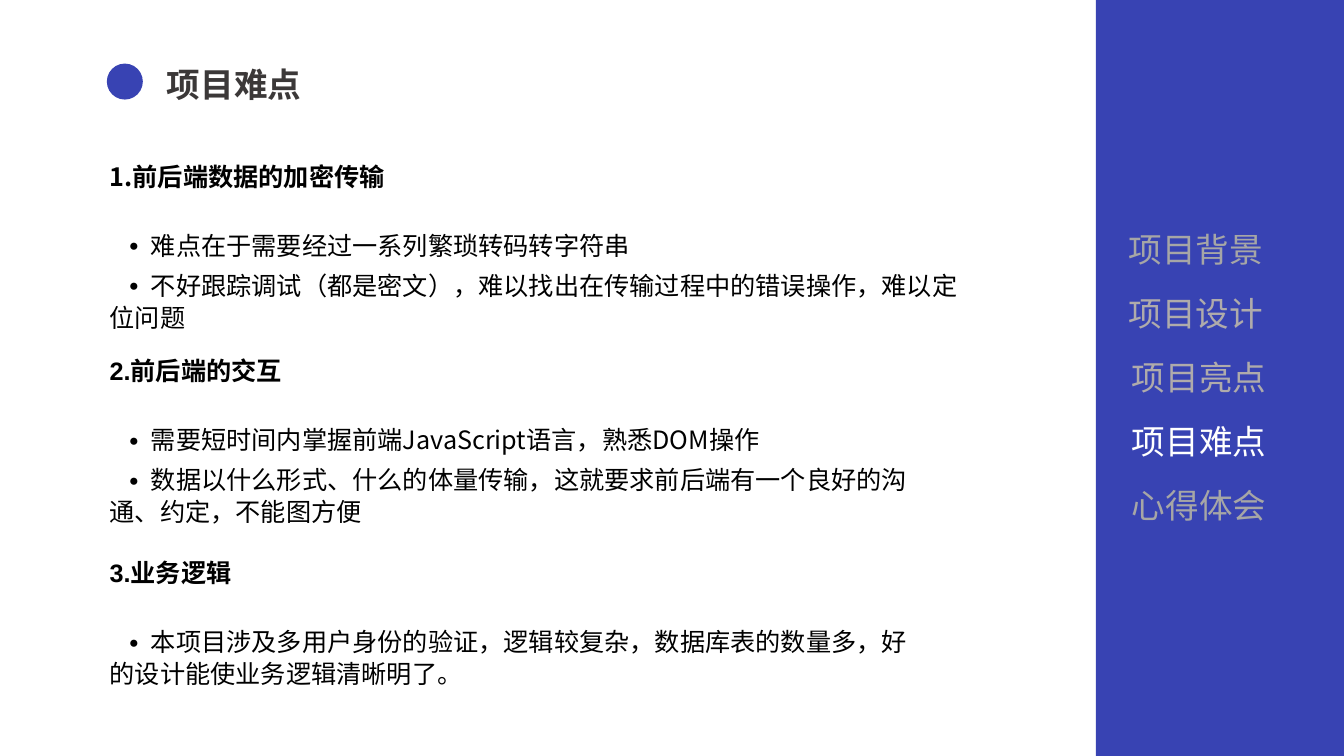
from dataclasses import dataclass

from lxml.etree import SubElement
from pptx import Presentation
from pptx.dml.color import RGBColor
from pptx.enum.shapes import MSO_SHAPE
from pptx.enum.text import MSO_ANCHOR, MSO_AUTO_SIZE, PP_ALIGN
from pptx.oxml.ns import qn
from pptx.util import Pt


@dataclass(frozen=True)
class Theme:
    font: str = "Noto Sans CJK SC"
    number_font: str = "Arial"
    blue: str = "3843B3"
    title: str = "3B3838"
    body: str = "000000"
    active: str = "FFFFFF"
    muted: str = "A6A6A6"
    muted_warm: str = "AFABAB"
    large: float = 24
    large_line: float = 31
    small: float = 18
    small_line: float = 22.9


@dataclass(frozen=True)
class MenuItem:
    text: str
    color: str
    left: float


@dataclass(frozen=True)
class Section:
    heading: str
    font: str
    points: tuple[str, ...]


@dataclass(frozen=True)
class TextBlock:
    top: float
    width: float
    height: float
    sections: tuple[Section, ...]


T = Theme()
MENU = (
    MenuItem("项目背景", T.muted, 799.2),
    MenuItem("项目设计", T.muted_warm, 799.2),
    MenuItem("项目亮点", T.muted_warm, 801.4),
    MenuItem("项目难点", T.active, 801.4),
    MenuItem("心得体会", T.muted, 801.4),
)
MENU_TOP, MENU_PITCH = 157.7, 45.7
BLOCKS = (
    TextBlock(110.2, 632.2, 131, (
        Section("1.前后端数据的加密传输", T.font, (
            "难点在于需要经过一系列繁琐转码转字符串",
            "不好跟踪调试（都是密文），难以找出在传输过程中的错误操作，难以定位问题")),
    )),
    TextBlock(249.1, 598.3, 247, (
        Section("2.前后端的交互", T.number_font, (
            "需要短时间内掌握前端JavaScript语言，熟悉DOM操作",
            "数据以什么形式、什么的体量传输，这就要求前后端有一个良好的沟通、约定，不能图方便")),
        Section("3.业务逻辑", T.number_font, (
            "本项目涉及多用户身份的验证，逻辑较复杂，数据库表的数量多，好的设计能使业务逻辑清晰明了。",)),
    )),
)
SECTION_GAP, HEADING_GAP, POINT_GAP = 20.7, 26.4, 5.7
BULLET_INDENT = 5.4


def add_solid(s, kind: MSO_SHAPE, left: float, top: float, width: float, height: float) -> None:
    sp = s.shapes.add_shape(kind, Pt(left), Pt(top), Pt(width), Pt(height))
    sp.shadow.inherit = False
    sp.fill.solid()
    sp.fill.fore_color.rgb = RGBColor.from_string(T.blue)
    sp.line.fill.background()


def format_frame(tf) -> None:
    formats = {"word_wrap": True, "auto_size": MSO_AUTO_SIZE.NONE,
               "vertical_anchor": MSO_ANCHOR.TOP,
               "margin_left": Pt(7.2), "margin_right": Pt(7.2),
               "margin_top": Pt(3.6), "margin_bottom": Pt(3.6)}
    for name, value in formats.items():
        setattr(tf, name, value)


def add_box(s, left: float, top: float, width: float, height: float):
    tf = s.shapes.add_textbox(Pt(left), Pt(top), Pt(width), Pt(height)).text_frame
    format_frame(tf)
    return tf


def write(p, text: str, size: float, line: float, color: str, bold: bool = False,
          font: str = T.font, before: float = 0) -> None:
    for name, value in {"alignment": PP_ALIGN.LEFT, "line_spacing": Pt(line),
                        "space_before": Pt(before), "space_after": Pt(0)}.items():
        setattr(p, name, value)
    r = p.add_run()
    r.text = text
    for name, value in {"name": font, "size": Pt(size), "bold": bold}.items():
        setattr(r.font, name, value)
    r.font.color.rgb = RGBColor.from_string(color)
    SubElement(r.font._element, qn("a:ea")).set("typeface", T.font)


def add_bullet(p) -> None:
    pPr = p._p.get_or_add_pPr()
    pPr.set("marL", "0")
    pPr.set("indent", str(Pt(BULLET_INDENT)))
    SubElement(pPr, qn("a:buSzPct")).set("val", "133000")
    SubElement(pPr, qn("a:buFont")).set("typeface", T.font)
    SubElement(pPr, qn("a:buChar")).set("char", "•")


def add_block(s, block: TextBlock) -> None:
    tf = add_box(s, 71.3, block.top, block.width, block.height)
    for i, section in enumerate(block.sections):
        p = tf.add_paragraph() if i else tf.paragraphs[0]
        write(p, section.heading, T.small, T.small_line, T.body, True, section.font,
              SECTION_GAP if i else 0)
        for j, point in enumerate(section.points):
            p = tf.add_paragraph()
            write(p, point, T.small, T.small_line, T.body,
                  before=POINT_GAP if j else HEADING_GAP)
            add_bullet(p)


def main() -> None:
    prs = Presentation()
    prs.slide_width, prs.slide_height = Pt(960), Pt(540)
    s = prs.slides.add_slide(prs.slide_layouts[5])

    # Side panel and title dot
    add_solid(s, MSO_SHAPE.RECTANGLE, 782.8, 0, 177.2, 540)
    add_solid(s, MSO_SHAPE.OVAL, 76.3, 45.4, 25.7, 25.7)

    # Title
    sp = s.shapes.title
    for name, value in {"left": 112, "top": 39.6, "width": 266.4, "height": 36}.items():
        setattr(sp, name, Pt(value))
    format_frame(sp.text_frame)
    write(sp.text_frame.paragraphs[0], "项目难点", T.large, T.large_line, T.title, True)

    # Menu in the side panel
    for i, item in enumerate(MENU):
        tf = add_box(s, item.left, MENU_TOP + i * MENU_PITCH, 140.4, 36)
        write(tf.paragraphs[0], item.text, T.large, T.large_line, item.color)

    # Difficulties
    for block in BLOCKS:
        add_block(s, block)

    prs.save("out.pptx")


if __name__ == "__main__":
    main()
